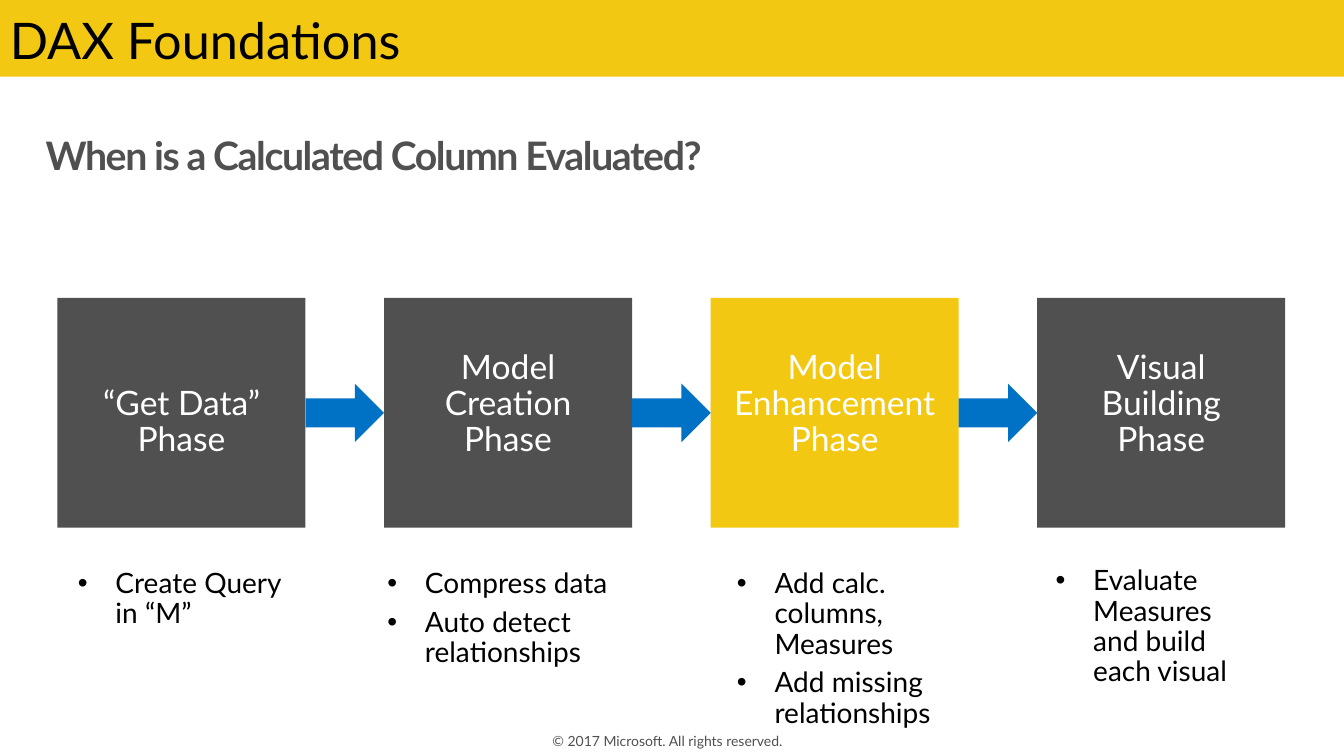
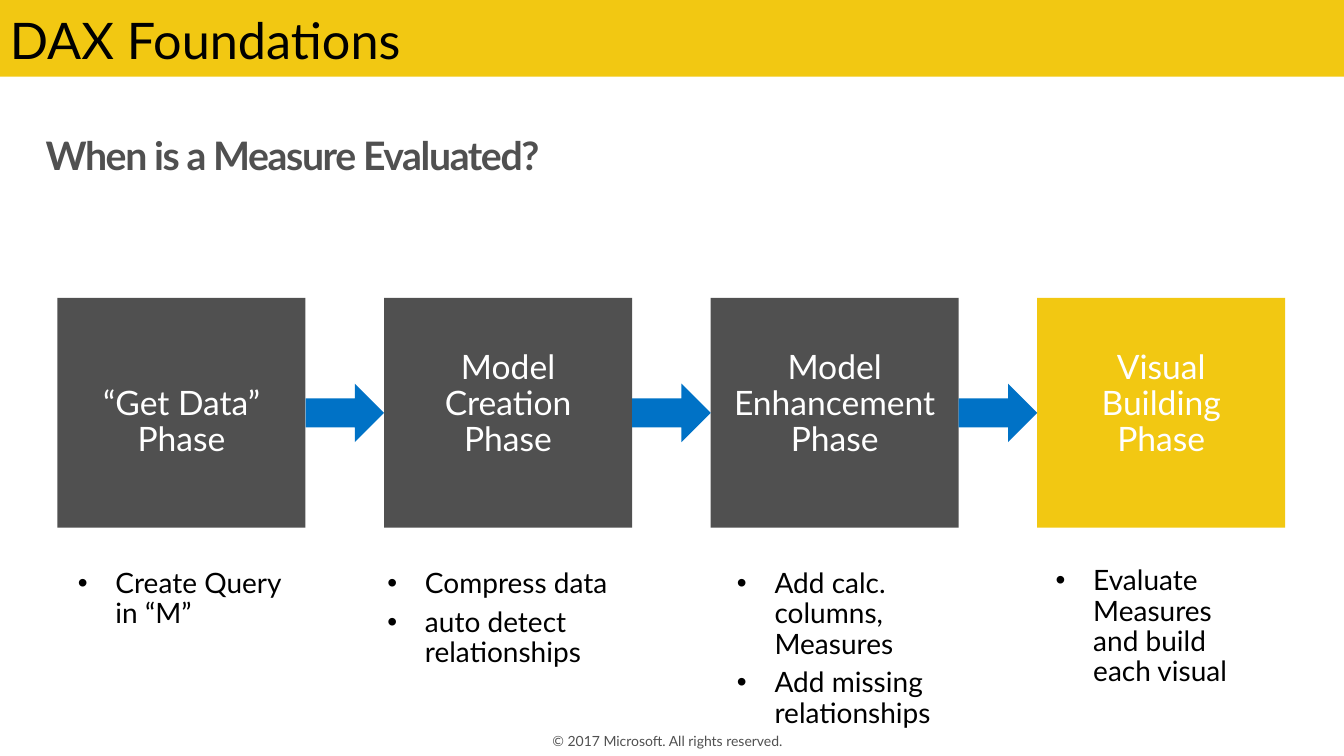
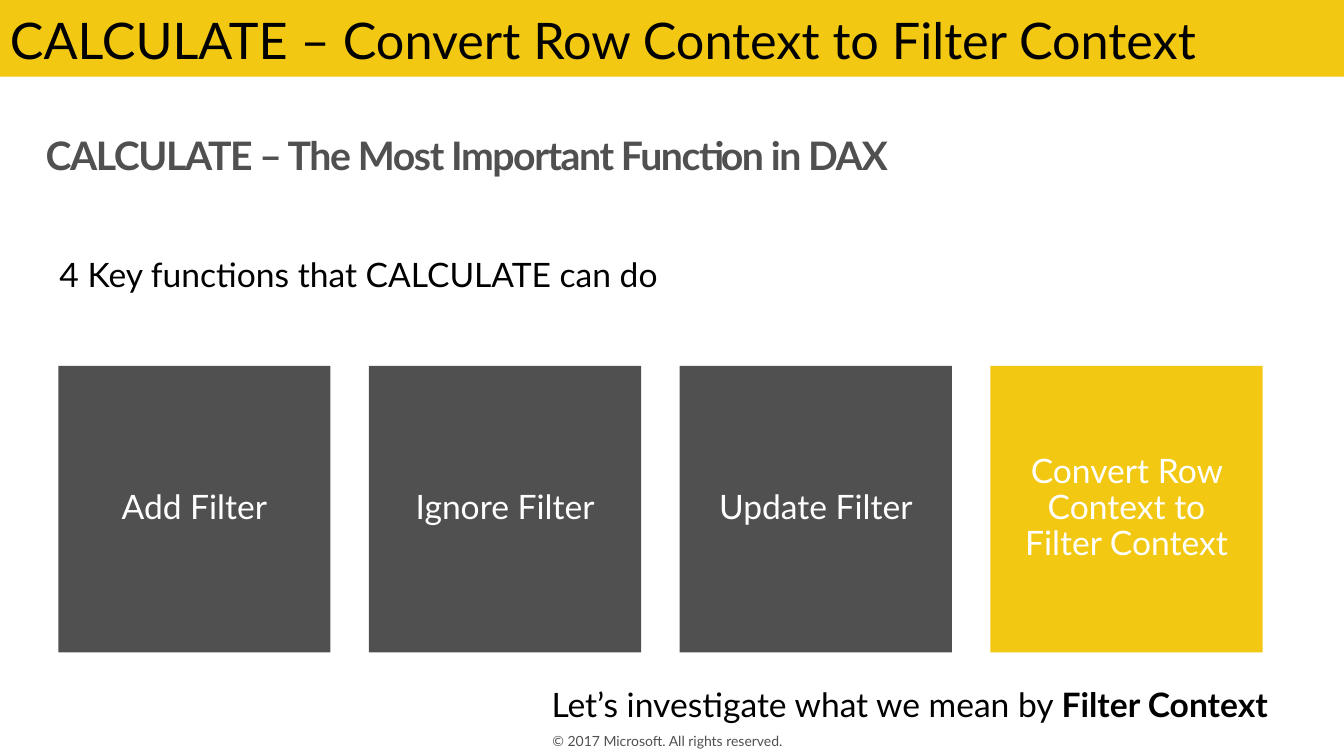
from lxml import etree
from pptx import Presentation
from pptx.dml.color import RGBColor
from pptx.enum.shapes import MSO_SHAPE
from pptx.enum.text import MSO_ANCHOR, MSO_AUTO_SIZE, PP_ALIGN
from pptx.oxml.ns import qn
from pptx.util import Cm, Pt

RECTANGLE, RIGHT_ARROW = MSO_SHAPE.RECTANGLE, MSO_SHAPE.RIGHT_ARROW
TOP, MIDDLE = MSO_ANCHOR.TOP, MSO_ANCHOR.MIDDLE
LEFT, CENTER = PP_ALIGN.LEFT, PP_ALIGN.CENTER
FIXED, GROW = MSO_AUTO_SIZE.NONE, MSO_AUTO_SIZE.SHAPE_TO_FIT_TEXT

YELLOW = RGBColor(0xF2, 0xC8, 0x12)
GRAY = RGBColor(0x50, 0x50, 0x50)
BLUE = RGBColor(0x00, 0x72, 0xC6)
BLACK = RGBColor(0, 0, 0)
WHITE = RGBColor(0xFF, 0xFF, 0xFF)
FONT = "Lato"

PAGE_WIDTH, PAGE_HEIGHT = 33.87, 19.05
WIDE_INSETS = (0.51, 0.41, 0.51, 0.41)
CARD_LINE = 0.91  # height of one line of card text
COMPARISON_LAYOUT, TITLE_LAYOUT = 4, 5


def add_bullet(para, indent=0.95):
    properties = para._p.get_or_add_pPr()
    properties.set("marL", str(Cm(indent)))
    properties.set("indent", str(-Cm(indent)))
    etree.SubElement(properties, qn("a:buFont")).set("typeface", "Arial")
    etree.SubElement(properties, qn("a:buChar")).set("char", "•")


def write(frame, text, size=24, color=BLACK, bold=False, bold_tail="", align=LEFT,
          anchor=TOP, insets=WIDE_INSETS, fit=FIXED, line=0.9, after=0,
          bullets=False, tracking=0):
    """Fill a text frame, one paragraph per line; bold_tail ends the last one in bold."""
    frame.word_wrap = True
    frame.auto_size = fit
    frame.vertical_anchor = anchor
    (frame.margin_left, frame.margin_top,
     frame.margin_right, frame.margin_bottom) = map(Cm, insets)
    lines = text.split("\n")
    for number, words in enumerate(lines):
        para = frame.add_paragraph() if number else frame.paragraphs[0]
        if bullets:
            add_bullet(para)
        para.alignment = align
        para.line_spacing = line
        para.space_before, para.space_after = Pt(0), Pt(after)
        spans = [(words, bold)]
        if bold_tail and number == len(lines) - 1:
            spans.append((bold_tail, True))
        for content, is_bold in spans:
            span = para.add_run()
            span.text = content
            span.font.name, span.font.size = FONT, Pt(size)
            span.font.bold = is_bold
            span.font.color.rgb = color
            if tracking:
                span.font._element.set("spc", str(tracking * 100))


class Deck:
    def __init__(self):
        self.file = Presentation()
        self.file.slide_width, self.file.slide_height = Cm(PAGE_WIDTH), Cm(PAGE_HEIGHT)
        self.page = None

    def add_page(self, layout, heading, title):
        self.page = self.file.slides.add_slide(self.file.slide_layouts[layout])
        self.placeholder(0, title, (0.74, 3.2, 32.39, 1.45), size=28, color=GRAY,
                         bold=True, tracking=-1, insets=(0.41, 0.25, 0.41, 0.25))
        self.shape(RECTANGLE, (0, 0, PAGE_WIDTH, 1.93), YELLOW)
        self.text(heading, (0, 0.1, 31.83, 1.83), size=36, line=1, fit=GROW,
                  insets=(0.25, 0.13, 0.25, 0.13))
        self.text("© 2017 Microsoft. All rights reserved.", (11.23, 18.36, 11.43, 0.64),
                  size=10, color=GRAY, align=CENTER, anchor=MIDDLE, line=1,
                  insets=(0, 0, 0.25, 0))

    def placeholder(self, index, text, place, **style):
        box = self.page.placeholders[index]
        box.left, box.top, box.width, box.height = map(Cm, place)
        write(box.text_frame, text, **style)

    def text(self, text, place, **style):
        box = self.page.shapes.add_textbox(*map(Cm, place))
        write(box.text_frame, text, **style)

    def shape(self, kind, place, fill):
        shape = self.page.shapes.add_shape(kind, *map(Cm, place))
        shape.shadow.inherit = False
        shape.fill.solid()
        shape.fill.fore_color.rgb = fill
        shape.line.fill.background()
        return shape

    def card_row(self, cards, highlight, left, top, width, height, step):
        """Draw (text, lines to drop from the top) cards, one of them in yellow."""
        for number, (text, drop) in enumerate(cards):
            fill = YELLOW if number == highlight else GRAY
            card = self.shape(RECTANGLE, (left + number * step, top, width, height), fill)
            write(card.text_frame, text, color=WHITE, align=CENTER,
                  insets=(0.51, 0.41 + drop * CARD_LINE, 0.51, 0.41))


def add_phase_page(deck, title, highlight, detect):
    left, top, width, height, step = 1.45, 7.51, 6.25, 5.79, 8.23
    arrow_height = 1.47
    phases = [("“Get Data” Phase", 2), ("Model Creation Phase", 1),
              ("Model\nEnhancement\nPhase", 1), ("Visual\nBuilding Phase", 1)]
    tasks = [
        ("Create Query in “M”", (1.45, 13.94, 6.25, 2.36)),
        (f"Compress data\n{detect} relationships", (9.25, 13.94, 6.68, 3.35)),
        ("Add calc. columns, Measures\nAdd missing relationships",
         (18.06, 13.94, 6.1, 4.88)),
        ("Evaluate Measures and build each visual", (26.09, 13.87, 5.97, 3.89)),
    ]
    deck.add_page(COMPARISON_LAYOUT, "DAX Foundations", title)
    deck.card_row(phases, highlight, left, top, width, height, step)
    for number in range(len(phases) - 1):
        deck.shape(RIGHT_ARROW, (left + width + number * step,
                                 top + (height - arrow_height) / 2,
                                 step - width, arrow_height), BLUE)
    for index, (text, place) in enumerate(tasks, start=1):
        deck.placeholder(index, text, place, size=20, after=6, bullets=True)


def add_calculate_page(deck):
    deck.add_page(TITLE_LAYOUT, "CALCULATE – Convert Row Context to Filter Context",
                  "CALCULATE – The Most Important Function in DAX")
    deck.text("4 Key functions that CALCULATE can do", (0.99, 6.1, 27.66, 1.75),
              after=6, fit=GROW)
    deck.card_row([("Add Filter", 3), ("Ignore Filter", 3), ("Update Filter", 3),
                   ("Convert Row Context to Filter Context", 2)],
                  3, 1.47, 9.22, 6.86, 7.22, 7.83)
    deck.text("Let’s investigate what we mean by ", (13.39, 16.94, 19.74, 1.75),
              bold_tail="Filter Context", after=6, fit=GROW)


def main():
    deck = Deck()
    add_phase_page(deck, "When is a Calculated Column Evaluated?", 2, "Auto detect")
    add_phase_page(deck, "When is a Measure Evaluated?", 3, "auto detect")
    add_calculate_page(deck)
    deck.file.save("out.pptx")


if __name__ == "__main__":
    main()
